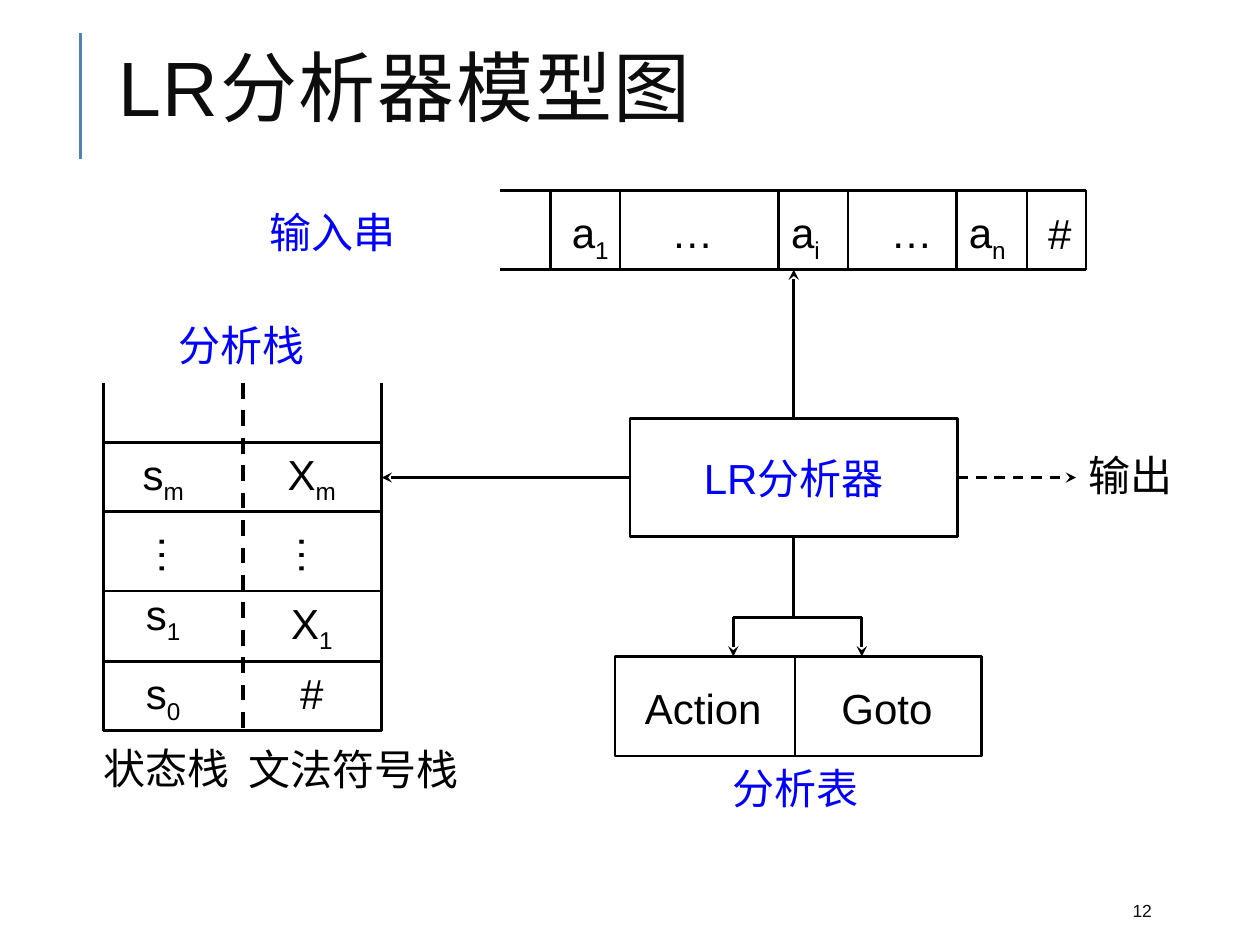
from dataclasses import dataclass
from typing import Optional

import pptx
import pptx.dml.color
import pptx.enum.dml
import pptx.enum.shapes
import pptx.enum.text
import pptx.oxml
import pptx.oxml.ns
import pptx.util

Inches = pptx.util.Inches
Pt = pptx.util.Pt
RGBColor = pptx.dml.color.RGBColor
DASH = pptx.enum.dml.MSO_LINE.DASH
ANCHOR = pptx.enum.text.MSO_ANCHOR
ALIGN = pptx.enum.text.PP_ALIGN

BLACK = RGBColor(0x00, 0x00, 0x00)
INK = RGBColor(0x0D, 0x0D, 0x0D)
BLUE = RGBColor(0x00, 0x00, 0xFF)
ACCENT = RGBColor(0x4F, 0x81, 0xBD)

STACK_LEFT, STACK_MID, STACK_RIGHT = 0.82, 1.93, 3.03
STACK_TOP, STACK_BOTTOM = 3.04, 5.8
STACK_ROWS = (3.51, 4.06, 4.69, 5.25, STACK_BOTTOM)
TAPE_LEFT, TAPE_RIGHT = 3.97, 8.62
TAPE_TOP, TAPE_BOTTOM = 1.51, 2.14
TAPE_COLUMNS = (4.37, 4.92, 6.18, 6.73, 7.59, 8.15, TAPE_RIGHT)
PARSER_X, PARSER_Y = 6.3, 3.79
FORK_Y, TABLE_TOP, TABLE_BOTTOM = 4.9, 5.21, 6.0
FORK_X = (5.82, 6.84)


@dataclass
class Label:
    text: str
    x: float
    y: float
    w: float
    h: float = 0.51
    sub: str = ""
    centred: bool = False
    color: RGBColor = BLACK
    size: float = 24
    anchor: ANCHOR = ANCHOR.TOP
    vertical: bool = False


@dataclass
class Line:
    x1: float
    y1: float
    x2: float
    y2: float
    width: float = 1.5
    color: RGBColor = BLACK
    dashed: bool = False
    arrow: bool = False
    site: Optional[int] = None


LABELS = [
    Label("12", 8.89, 7.08, 0.8, 0.3, color=INK, size=10, anchor=ANCHOR.MIDDLE),
    Label("s", 0.9, 5.25, 0.79, sub="0", centred=True),
    Label("s", 0.9, 4.62, 0.79, sub="1", centred=True),
    Label("s", 0.9, 3.51, 0.79, sub="m", centred=True),
    Label("#", 2.08, 5.25, 0.79, centred=True),
    Label("X", 2.08, 4.69, 0.79, sub="1", centred=True),
    Label("X", 2.08, 3.51, 0.79, sub="m", centred=True),
    Label("…", 1.05, 4.14, 0.6, 0.5, centred=True, vertical=True),
    Label("…", 2.16, 4.14, 0.6, 0.5, centred=True, vertical=True),
    Label("a", 4.44, 1.59, 0.55, sub="1"),
    Label("…", 5.23, 1.59, 0.63),
    Label("a", 6.18, 1.59, 0.55, sub="i"),
    Label("…", 6.97, 1.59, 0.63),
    Label("a", 7.59, 1.59, 0.55, sub="n"),
    Label("#", 8.22, 1.6, 0.39),
    Label("输出", 8.54, 3.52, 0.93),
    Label("输入串", 2.04, 1.59, 1.34, color=BLUE),
    Label("分析栈", 1.32, 2.49, 1.22, color=BLUE),
    Label("分析表", 5.37, 6.0, 1.89, centred=True, color=BLUE),
    Label("Action", 5.02, 5.37, 1.18),
    Label("Goto", 6.58, 5.37, 0.94),
    Label("状态栈", 0.71, 5.84, 1.22, centred=True),
    Label("文法符号栈", 1.86, 5.85, 1.89, centred=True),
]

LINES = [
    Line(0.64, 1.26, 0.64, 0.26, color=ACCENT),
    *[Line(x, STACK_TOP, x, STACK_BOTTOM) for x in (STACK_LEFT, STACK_RIGHT)],
    *[Line(STACK_LEFT, y, STACK_RIGHT, y) for y in STACK_ROWS],
    Line(STACK_MID, STACK_TOP, STACK_MID, STACK_BOTTOM, width=2.25, dashed=True),
    *[Line(TAPE_LEFT, y, TAPE_RIGHT, y) for y in (TAPE_TOP, TAPE_BOTTOM)],
    *[Line(x, TAPE_TOP, x, TAPE_BOTTOM) for x in TAPE_COLUMNS],
    Line(PARSER_X, 3.32, PARSER_X, TAPE_BOTTOM, arrow=True, site=0),
    Line(5.0, PARSER_Y, STACK_RIGHT, PARSER_Y, arrow=True, site=1),
    Line(PARSER_X, 4.26, PARSER_X, FORK_Y, site=2),
    Line(7.6, PARSER_Y, 8.54, PARSER_Y, dashed=True, arrow=True, site=3),
    Line(FORK_X[0], FORK_Y, FORK_X[1], FORK_Y),
    *[Line(x, FORK_Y, x, TABLE_TOP, arrow=True) for x in FORK_X],
    Line(6.31, TABLE_TOP, 6.31, TABLE_BOTTOM),
]


def style_text(p, size: float, color: RGBColor) -> None:
    p.font.name = "Arial"
    p.font.size = Pt(size)
    p.font.color.rgb = color


def add_label(s, label: Label):
    sp = s.shapes.add_textbox(
        Inches(label.x), Inches(label.y), Inches(label.w), Inches(label.h)
    )
    tf = sp.text_frame
    tf.word_wrap = True
    tf.vertical_anchor = label.anchor
    if label.vertical:
        tf._txBody.bodyPr.set("vert", "eaVert")
    p = tf.paragraphs[0]
    p.alignment = ALIGN.CENTER if label.centred else ALIGN.LEFT
    p.add_run().text = label.text
    if label.sub:
        r = p.add_run()
        r.text = label.sub
        r.font._element.set("baseline", "-25000")
    style_text(p, label.size, label.color)
    return p


def add_box(s, x: float, y: float, w: float, h: float):
    sp = s.shapes.add_shape(
        pptx.enum.shapes.MSO_SHAPE.RECTANGLE,
        Inches(x), Inches(y), Inches(w), Inches(h),
    )
    sp.shadow.inherit = False
    sp.fill.background()
    sp.line.color.rgb = BLACK
    sp.line.width = Pt(1.5)
    return sp


def add_line(s, line: Line, parser) -> None:
    c = s.shapes.add_connector(
        pptx.enum.shapes.MSO_CONNECTOR.STRAIGHT,
        Inches(line.x1), Inches(line.y1), Inches(line.x2), Inches(line.y2),
    )
    c.line.color.rgb = line.color
    c.line.width = Pt(line.width)
    if line.dashed:
        c.line.dash_style = DASH
    if line.arrow:
        ln = c.line._get_or_add_ln()
        tail = pptx.oxml.parse_xml(
            f'<a:tailEnd {pptx.oxml.ns.nsdecls("a")} type="stealth"/>'
        )
        ln.append(tail)
    effects = pptx.oxml.parse_xml(f'<a:effectLst {pptx.oxml.ns.nsdecls("a")}/>')
    c._element.spPr.append(effects)
    if line.site is not None:
        c.begin_connect(parser, line.site)


def main() -> None:
    prs = pptx.Presentation()
    prs.slide_width, prs.slide_height = Inches(10), Inches(7.5)
    s = prs.slides.add_slide(prs.slide_layouts[6])

    title = Label("LR分析器模型图", 0.84, 0.26, 8.5, 0.98,
                  color=INK, size=44, anchor=ANCHOR.MIDDLE)
    p = add_label(s, title)
    p.line_spacing = 0.8
    p.font._element.set("spc", "100")

    parser = add_box(s, 5.0, 3.32, 2.6, 0.94)
    tf = parser.text_frame
    tf.word_wrap = False
    tf.vertical_anchor = ANCHOR.MIDDLE
    p = tf.paragraphs[0]
    p.text = "LR分析器"
    p.alignment = ALIGN.CENTER
    style_text(p, 24, BLUE)
    add_box(s, 4.88, TABLE_TOP, 2.91, TABLE_BOTTOM - TABLE_TOP)

    for line in LINES:
        add_line(s, line, parser)
    for label in LABELS:
        add_label(s, label)
    prs.save("out.pptx")


if __name__ == "__main__":
    main()
